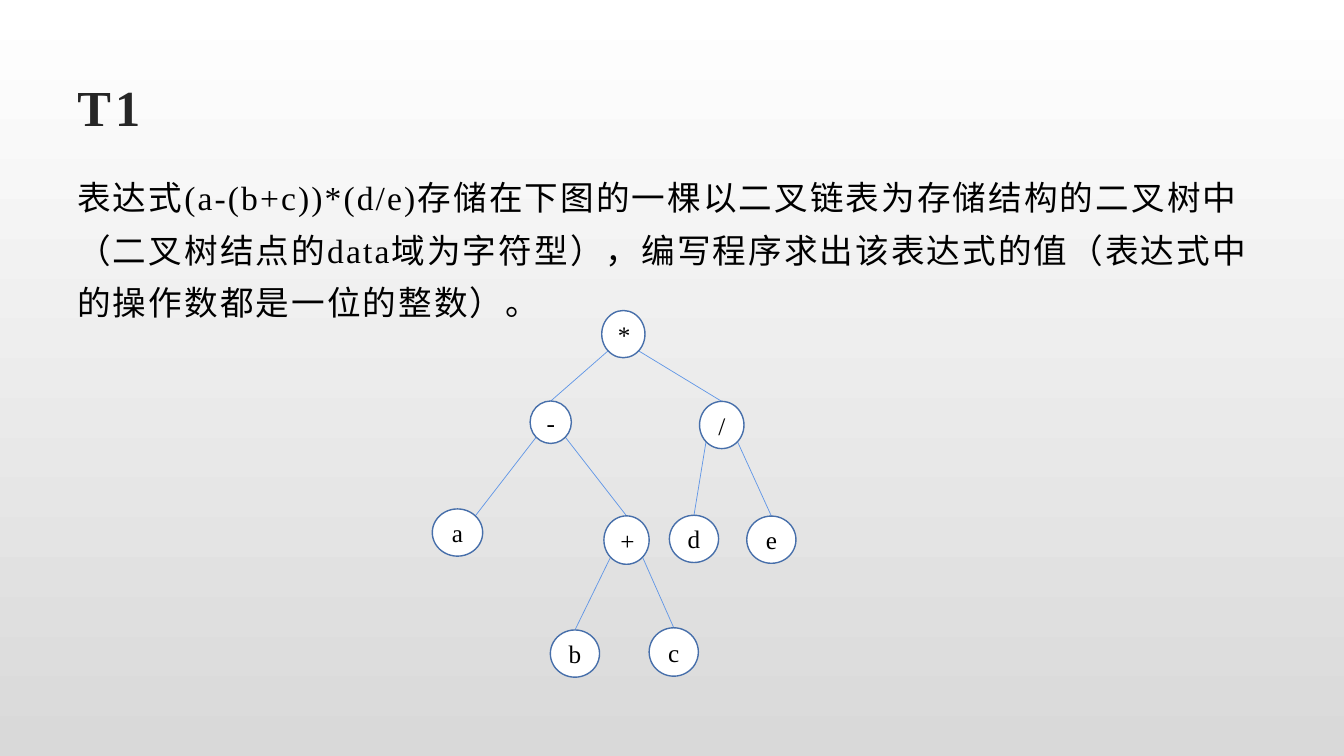
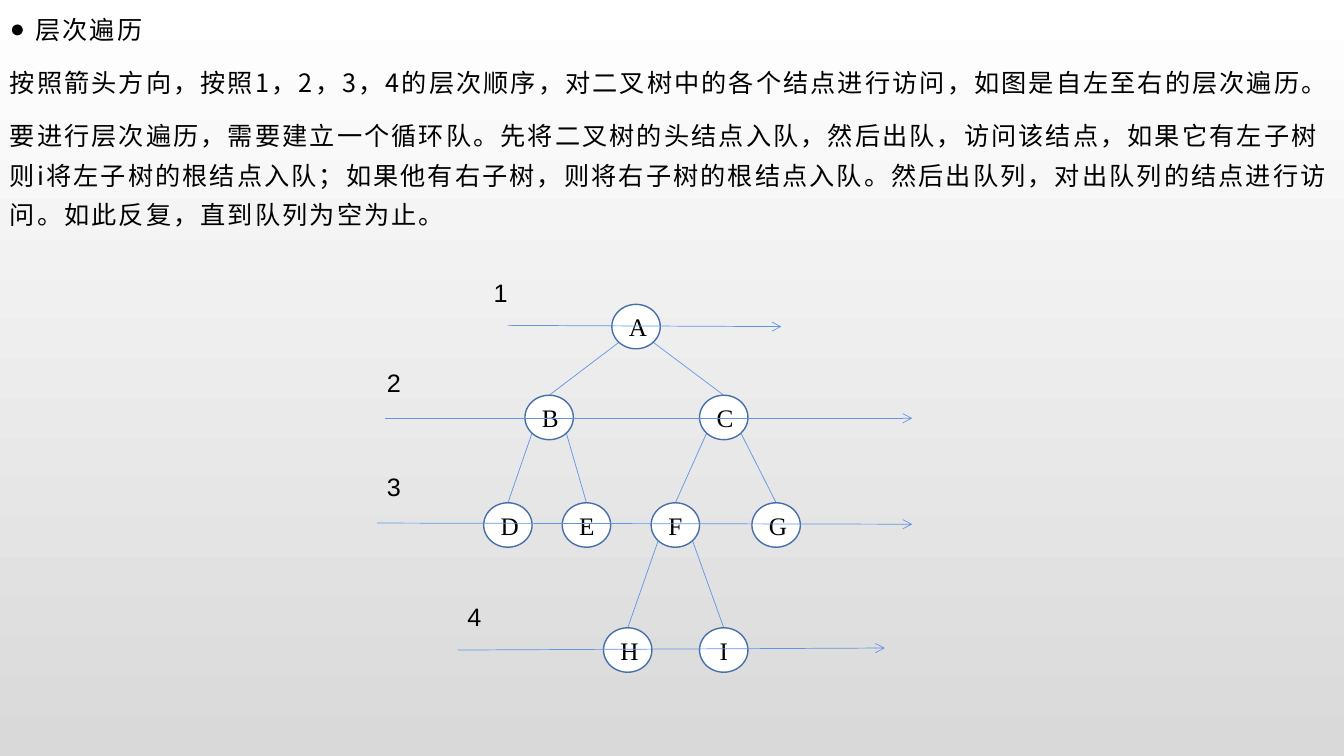
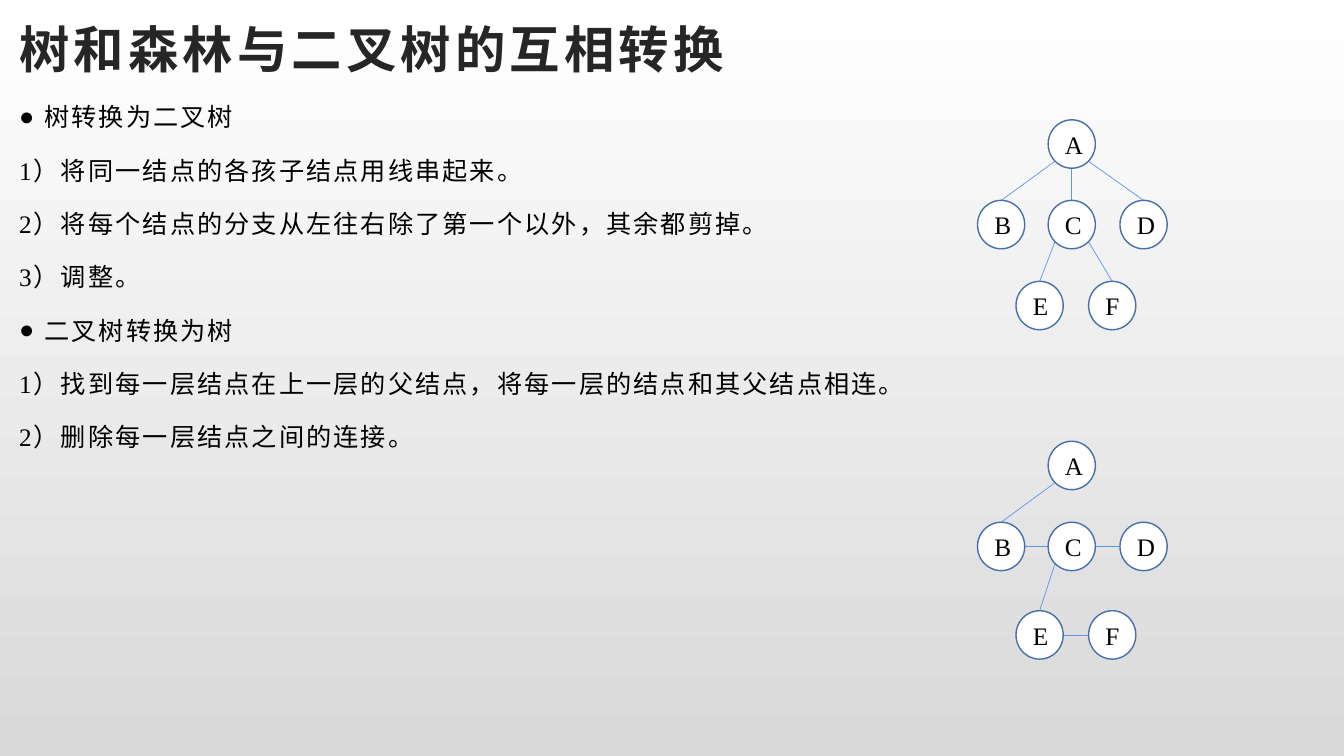
import pptx
import pptx.util
import pptx.dml.color
import pptx.enum.shapes
import pptx.enum.text
import pptx.oxml.ns
import lxml.etree

Cm, Pt = pptx.util.Cm, pptx.util.Pt
RGBColor = pptx.dml.color.RGBColor
qn = pptx.oxml.ns.qn

WHITE = RGBColor(0xFF, 0xFF, 0xFF)
GREY = RGBColor(0xD9, 0xD9, 0xD9)
BLACK = RGBColor(0x00, 0x00, 0x00)
TITLE_INK = RGBColor(0x26, 0x26, 0x26)
NODE_EDGE = RGBColor(0x47, 0x6F, 0xAA)
BRANCH = RGBColor(0x60, 0x96, 0xE6)
SERIF, SANS, CJK = "Times New Roman", "Arial", "Noto Sans CJK SC"
LINE_PITCH = 1.56
BULLET = "●"

# Texts; a leading bullet mark makes a bulleted paragraph
QUESTION_TITLE = "T1"
QUESTION = [
    "表达式(a-(b+c))*(d/e)存储在下图的一棵以二叉链表为存储结构的二叉树中"
    "（二叉树结点的data域为字符型），编写程序求出该表达式的值"
    "（表达式中的操作数都是一位的整数）。",
]
LEVEL_ORDER = [
    BULLET + "层次遍历",
    "按照箭头方向，按照1，2，3，4的层次顺序，对二叉树中的各个结点进行访问，"
    "如图是自左至右的层次遍历。",
    "要进行层次遍历，需要建立一个循环队。先将二叉树的头结点入队，然后出队，"
    "访问该结点，如果它有左子树则i将左子树的根结点入队；如果他有右子树，"
    "则将右子树的根结点入队。然后出队列，对出队列的结点进行访问。"
    "如此反复，直到队列为空为止。",
]
CONVERSION_TITLE = "树和森林与二叉树的互相转换"
CONVERSION = [
    BULLET + "树转换为二叉树",
    "1）将同一结点的各孩子结点用线串起来。",
    "2）将每个结点的分支从左往右除了第一个以外，其余都剪掉。",
    "3）调整。",
    BULLET + "二叉树转换为树",
    "1）找到每一层结点在上一层的父结点，将每一层的结点和其父结点相连。",
    "2）删除每一层结点之间的连接。",
]

# Nodes: centre x, centre y, width, height in cm
EXPRESSION_NODES = {
    "*": (15.71, 8.42, 1.09, 1.19),
    "-": (13.88, 10.64, 1.04, 1.07),
    "/": (18.19, 10.71, 1.12, 1.19),
    "a": (11.53, 13.42, 1.27, 1.19),
    "+": (15.79, 13.61, 1.14, 1.22),
    "d": (17.49, 13.58, 1.24, 1.19),
    "e": (19.44, 13.6, 1.24, 1.19),
    "b": (14.49, 16.47, 1.24, 1.19),
    "c": (16.98, 16.43, 1.24, 1.22),
}
# Edges: parent, side it leaves, child, side it reaches
EXPRESSION_EDGES = [
    ("*", "SW", "-", "N"), ("*", "SE", "/", "N"),
    ("-", "SW", "a", "NE"), ("-", "SE", "+", "N"),
    ("/", "SW", "d", "N"), ("/", "SE", "e", "N"),
    ("+", "SW", "b", "N"), ("+", "SE", "c", "N"),
]

# Levels: centre y, node centres x
LEVELS = [
    (8.23, {"A": 16.03}),
    (10.52, {"B": 13.84, "C": 18.24}),
    (13.23, {"D": 12.8, "E": 14.78, "F": 17.02, "G": 19.56}),
    (16.38, {"H": 15.82, "I": 18.24}),
]
LEVEL_EDGES = [
    ("A", "SW", "B", "N"), ("A", "SE", "C", "N"),
    ("B", "SW", "D", "N"), ("B", "SE", "E", "N"),
    ("C", "SW", "F", "N"), ("C", "SE", "G", "N"),
    ("F", "SW", "H", "N"), ("F", "SE", "I", "N"),
]
# Arrows: start x, start y, end x, end y; then label left, top
LEVEL_ARROWS = [
    ((12.8, 8.2, 19.69, 8.23), (12.19, 6.86)),
    ((9.7, 10.54, 22.99, 10.54), (9.5, 9.14)),
    ((9.5, 13.18, 22.99, 13.21), (9.5, 11.76)),
    ((11.53, 16.38, 22.3, 16.33), (11.53, 15.04)),
]

CONVERSION_ROWS = [{"A": 27.01}, {"B": 25.23, "C": 27.01, "D": 28.82},
                   {"E": 26.2, "F": 28.03}]
TREE_YS = (3.63, 5.66, 7.7)
TREE_EDGES = [
    ("A", "SW", "B", "N"), ("A", "S", "C", "N"), ("A", "SE", "D", "N"),
    ("C", "SW", "E", "N"), ("C", "SE", "F", "N"),
]
BINARY_YS = (11.73, 13.77, 16.0)
BINARY_EDGES = [
    ("A", "SW", "B", "N"), ("C", "W", "B", "E"), ("D", "W", "C", "E"),
    ("C", "SW", "E", "N"), ("F", "W", "E", "E"),
]

DIAGONAL = 0.71
SIDES = {"N": (0, -1), "S": (0, 1), "W": (-1, 0), "E": (1, 0),
         "NE": (DIAGONAL, -DIAGONAL),
         "SW": (-DIAGONAL, DIAGONAL), "SE": (DIAGONAL, DIAGONAL)}


def style_run(r, size, font, color=BLACK, bold=False, spacing=0):
    """Format a run; spacing is in points between characters."""
    r.font.size, r.font.name, r.font.bold = Pt(size), font, bold
    r.font.color.rgb = color
    rpr = r.font._element
    if spacing:
        rpr.set("spc", str(int(spacing * 100)))
    rpr.find(qn("a:latin")).addnext(
        rpr.makeelement(qn("a:ea"), {"typeface": CJK}))


def add_text(slide, left, top, width, height):
    """Add a wrapping text box and return its text frame."""
    sp = slide.shapes.add_textbox(Cm(left), Cm(top), Cm(width), Cm(height))
    tf = sp.text_frame
    tf.word_wrap = True
    return tf


def add_title(slide, left, top, text, font):
    """Add the slide title."""
    tf = add_text(slide, left, top, 30.48, 1.96)
    tf.vertical_anchor = pptx.enum.text.MSO_ANCHOR.MIDDLE
    tf.text = text
    style_run(tf.paragraphs[0].runs[0], 36, font, TITLE_INK, True, 3)


def add_body(slide, box, lines, size, font):
    """Add the body paragraphs, with bullets where marked."""
    tf = add_text(slide, *box)
    tf.text = "\n".join(line.lstrip(BULLET) for line in lines)
    for p, line in zip(tf.paragraphs, lines):
        p.line_spacing = Pt(round(size * LINE_PITCH, 1))
        p.space_after = Pt(10)
        if line.startswith(BULLET):
            ppr = p._p.get_or_add_pPr()
            ppr.set("marL", str(Cm(0.64)))
            ppr.set("indent", str(-Cm(0.64)))
            lxml.etree.SubElement(ppr, qn("a:buFont"), typeface=SANS)
            lxml.etree.SubElement(ppr, qn("a:buChar"), char=BULLET)
        style_run(p.runs[0], size, font, spacing=1.5)


def add_line(slide, x1, y1, x2, y2, arrow=False):
    """Add a thin line, with an open arrowhead at its end if asked."""
    line = slide.shapes.add_connector(
        pptx.enum.shapes.MSO_CONNECTOR.STRAIGHT, Cm(x1), Cm(y1), Cm(x2), Cm(y2))
    line.line.color.rgb = BRANCH
    line.line.width = Pt(0.5)
    if arrow:
        lxml.etree.SubElement(line.line._get_or_add_ln(), qn("a:tailEnd"),
                              type="arrow")
    lxml.etree.SubElement(line._element.spPr, qn("a:effectLst"))


def add_node(slide, text, x, y, width, height):
    """Add a round node centred on x, y."""
    sp = slide.shapes.add_shape(
        pptx.enum.shapes.MSO_SHAPE.OVAL, Cm(x - width / 2), Cm(y - height / 2),
        Cm(width), Cm(height))
    sp.shadow.inherit = False
    sp.fill.solid()
    sp.fill.fore_color.rgb = WHITE
    sp.line.color.rgb = NODE_EDGE
    sp.line.width = Pt(1)
    tf = sp.text_frame
    tf.text = text
    tf.vertical_anchor = pptx.enum.text.MSO_ANCHOR.MIDDLE
    p = tf.paragraphs[0]
    p.alignment = pptx.enum.text.PP_ALIGN.CENTER
    style_run(p.runs[0], 18, SERIF)


def side_point(node, side):
    """Return the point on a node's outline at the given side."""
    x, y, width, height = node
    dx, dy = SIDES[side]
    return x + dx * width / 2, y + dy * height / 2


def add_tree(slide, nodes, edges):
    """Draw the edges, then the nodes over them."""
    for parent, leaves, child, reaches in edges:
        add_line(slide, *side_point(nodes[parent], leaves),
                 *side_point(nodes[child], reaches))
    for text, node in nodes.items():
        add_node(slide, text, *node)


def place_rows(rows, ys, width, height):
    """Turn rows of node centres into equal-sized nodes."""
    return {name: (x, y, width, height)
            for row, y in zip(rows, ys) for name, x in row.items()}


def set_background(master):
    """Give every slide a white to grey vertical gradient."""
    fill = master.background.fill
    fill.gradient()
    fill.gradient_angle = 270
    for stop, color, position in zip(fill.gradient_stops, (WHITE, GREY), (0, 1)):
        stop.color.rgb = color
        stop.position = position


def build_question(slide):
    """Expression tree exercise."""
    add_title(slide, 1.7, 1.7, QUESTION_TITLE, SERIF)
    add_body(slide, (1.7, 4.04, 30.48, 13.21), QUESTION, 24, SERIF)
    add_tree(slide, EXPRESSION_NODES, EXPRESSION_EDGES)


def build_level_order(slide):
    """Level-order traversal with one arrow per level."""
    add_body(slide, (0, 0, 33.87, 19.05), LEVEL_ORDER, 18, CJK)
    ys, rows = zip(*LEVELS)
    add_tree(slide, place_rows(rows, ys, 1.22, 1.12), LEVEL_EDGES)
    for number, (arrow, label) in enumerate(LEVEL_ARROWS, 1):
        add_line(slide, *arrow, arrow=True)
        tf = add_text(slide, *label, 0.86, 1.02)
        tf.text = str(number)
        style_run(tf.paragraphs[0].runs[0], 18, SANS)


def build_conversion(slide):
    """Tree and its binary form, side by side with the steps."""
    add_title(slide, 0.23, 0.25, CONVERSION_TITLE, CJK)
    add_body(slide, (0.23, 2.21, 31.93, 15.14), CONVERSION, 18, SERIF)
    for ys, edges in ((TREE_YS, TREE_EDGES), (BINARY_YS, BINARY_EDGES)):
        add_tree(slide, place_rows(CONVERSION_ROWS, ys, 1.19, 1.22), edges)


prs = pptx.Presentation()
prs.slide_width, prs.slide_height = Cm(33.87), Cm(19.05)
set_background(prs.slide_master)
for build in (build_question, build_level_order, build_conversion):
    build(prs.slides.add_slide(prs.slide_layouts[6]))
prs.save("out.pptx")
